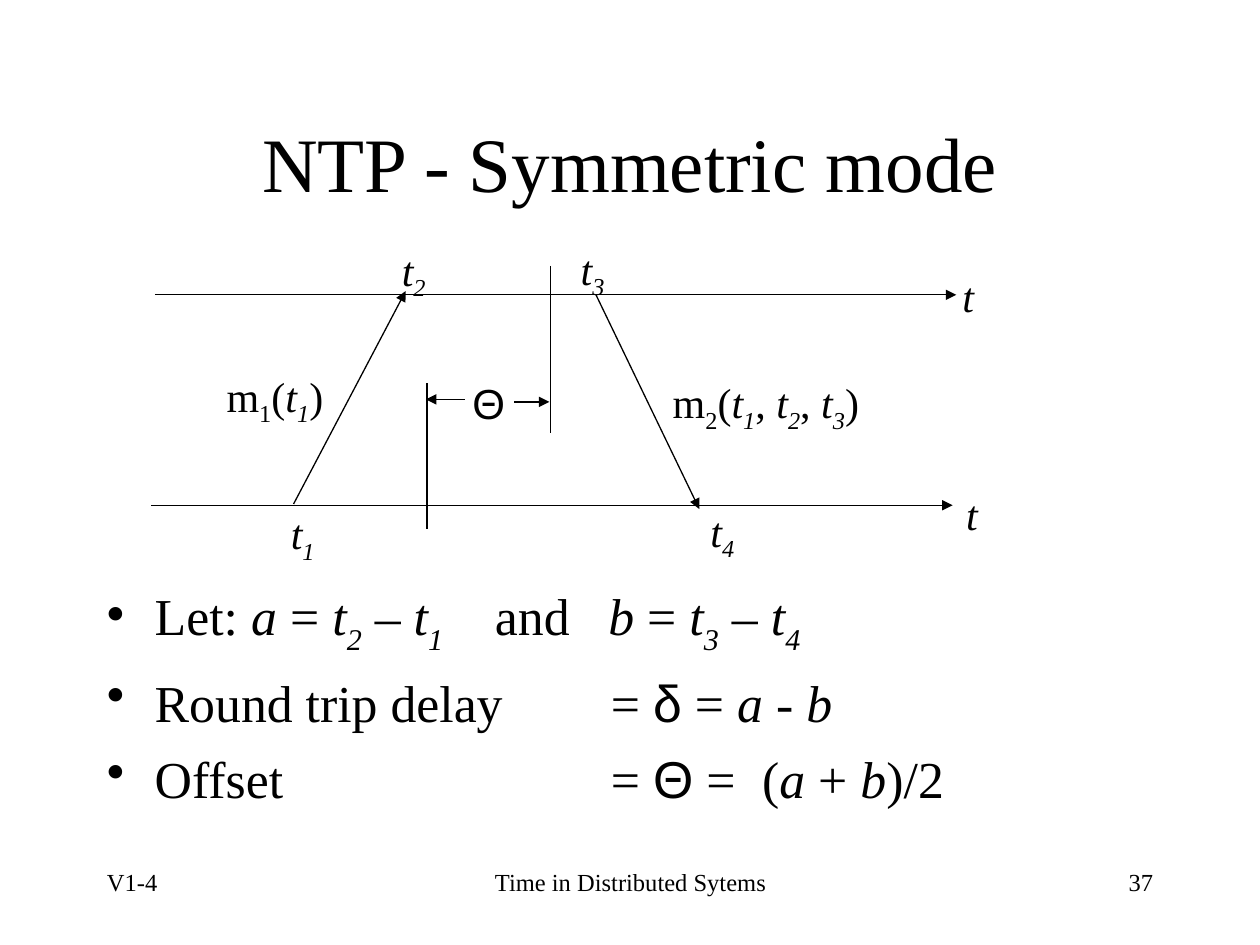
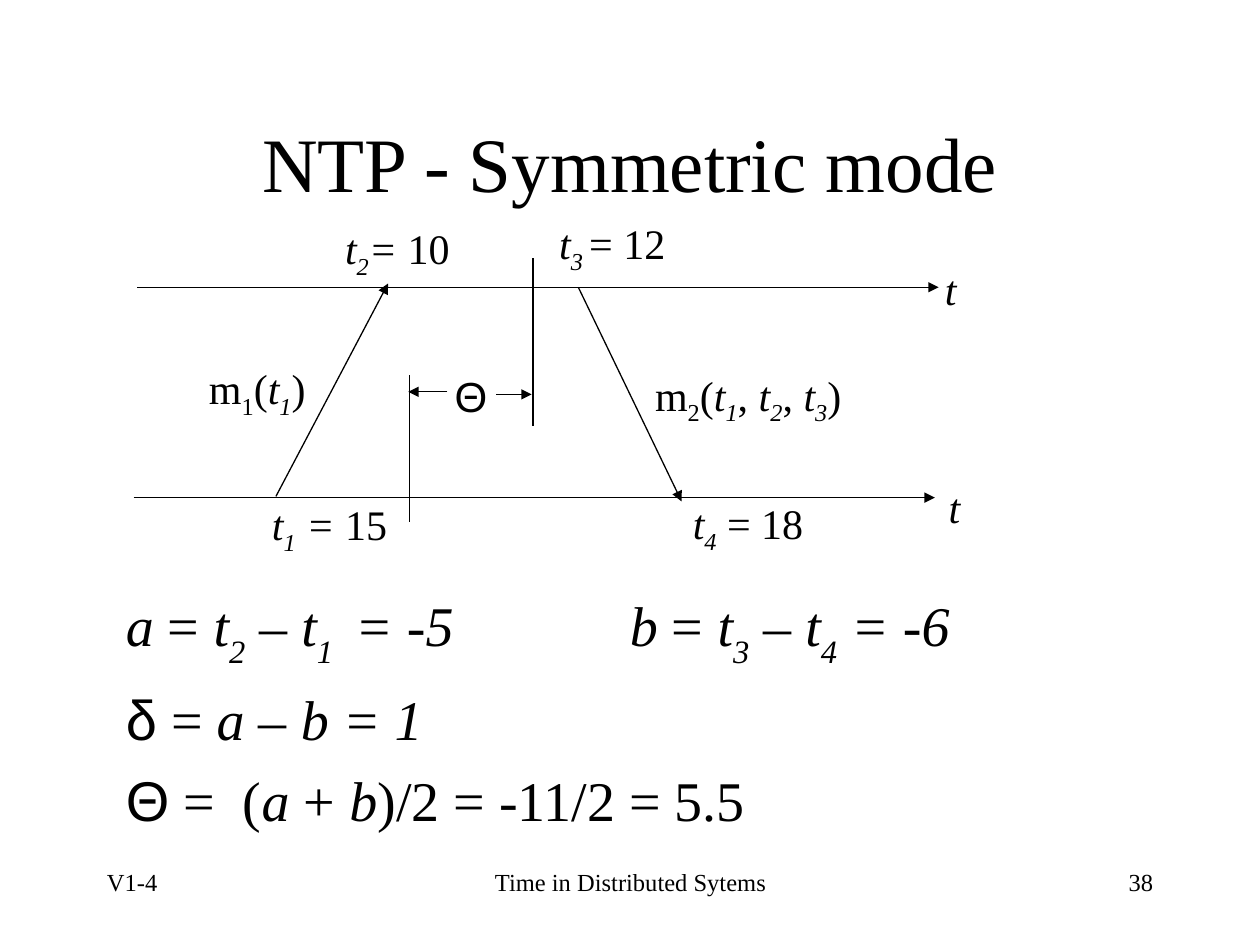
from itertools import groupby

from lxml import etree
from pptx import Presentation
from pptx.dml.color import RGBColor
from pptx.enum.shapes import MSO_CONNECTOR
from pptx.enum.text import MSO_ANCHOR, PP_ALIGN
from pptx.oxml.ns import qn
from pptx.util import Inches, Pt

STRAIGHT = MSO_CONNECTOR.STRAIGHT
LEFT, CENTER, RIGHT = PP_ALIGN.LEFT, PP_ALIGN.CENTER, PP_ALIGN.RIGHT
TOP, MIDDLE = MSO_ANCHOR.TOP, MSO_ANCHOR.MIDDLE

INK = "000000"
SERIF, GREEK_FONT = "Times New Roman", "Arial"
GREEK = "δΘ"
TITLE_SIZE, LABEL_SIZE, FOOTER_SIZE = 44, 24, 14
LABEL_DROP, BODY_DROP = -25, -30  # subscript offsets in percent
LABEL_SLACK = 0.1  # spare width that keeps a label on one line
BULLET_INDENT = 0.38

# Diagram lines: start x, start y, end x, end y, arrow at the end
DIAGRAM_LINES = [
    (1.23, 2.34, 7.59, 2.34, True),   # upper time axis
    (1.20, 4.01, 7.56, 4.01, True),   # lower time axis
    (2.33, 4.00, 3.22, 2.31, True),   # message 1
    (4.73, 2.34, 5.55, 4.04, True),   # message 2
    (4.37, 2.11, 4.37, 3.44, False),  # offset limits
    (3.39, 3.04, 3.39, 4.20, False),
    (4.08, 3.19, 4.36, 3.19, True),   # offset arrows
    (3.69, 3.17, 3.38, 3.17, True),
]
# Labels: text, left, top, width. In texts, * toggles italic and ~ subscript.
DIAGRAM_LABELS = [
    ("m~1~(*t~1~*)", 1.70, 2.89, 0.97),
    ("m~2~(*t~1~*, *t~2~*, *t~3~*)", 5.24, 2.94, 1.68),
    ("Θ", 3.65, 2.95, 0.44),
    ("*t", 7.54, 2.10, 0.29),
    ("*t", 7.57, 3.83, 0.29),
]


def color(hex_value):
    return RGBColor.from_string(hex_value)


def styled_pieces(text):
    """Split marked text into (piece, italic, subscript, font)."""
    italic = subscript = False
    letters = []
    for letter in text:
        if letter == "*":
            italic = not italic
        elif letter == "~":
            subscript = not subscript
        else:
            font = GREEK_FONT if letter in GREEK else SERIF
            letters.append((letter, italic, subscript, font))
    for style, group in groupby(letters, key=lambda item: item[1:]):
        yield "".join(item[0] for item in group), *style


def add_spans(para, text, size, drop=LABEL_DROP):
    for piece, italic, subscript, font in styled_pieces(text):
        span = para.add_run()
        span.text = piece
        span.font.name = font
        span.font.size = Pt(size)
        span.font.italic = italic
        span.font.color.rgb = color(INK)
        if subscript:
            span._r.get_or_add_rPr().set("baseline", str(drop * 1000))


def add_box(page, left, top, width, height, anchor=TOP):
    box = page.shapes.add_textbox(
        Inches(left), Inches(top), Inches(width), Inches(height))
    frame = box.text_frame
    frame.word_wrap = True
    frame.vertical_anchor = anchor
    return frame


def add_line_of_text(page, text, place, size, align=LEFT, anchor=TOP):
    para = add_box(page, *place, anchor).paragraphs[0]
    para.alignment = align
    add_spans(para, text, size)


def add_label(page, text, left, top, width):
    height = 0.56 if "~" in text else 0.5
    add_line_of_text(page, text, (left, top, width + LABEL_SLACK, height),
                     LABEL_SIZE)


def add_line(page, x1, y1, x2, y2, arrow):
    line = page.shapes.add_connector(
        STRAIGHT, Inches(x1), Inches(y1), Inches(x2), Inches(y2))
    line.line.color.rgb = color(INK)
    line.line.width = Pt(0.75)
    if arrow:
        etree.SubElement(line.line._get_or_add_ln(), qn("a:tailEnd"),
                         type="triangle")
    etree.SubElement(line._element.spPr, qn("a:effectLst"))


def set_bullet(para):
    props = para._p.get_or_add_pPr()
    indent = Inches(BULLET_INDENT)
    props.set("marL", str(indent))
    props.set("indent", str(-indent))
    etree.SubElement(props, qn("a:buChar"), char="•")


def set_tabs(para, stops):
    tabs = etree.SubElement(para._p.get_or_add_pPr(), qn("a:tabLst"))
    for stop in stops:
        etree.SubElement(tabs, qn("a:tab"), pos=str(Inches(stop)), algn="l")


def add_formulas(page, place, lines, size, bullets=False):
    frame = add_box(page, *place)
    for number, (text, stops) in enumerate(lines):
        para = frame.add_paragraph() if number else frame.paragraphs[0]
        if number:
            para.space_before = Pt(8)
        if bullets:
            set_bullet(para)
        if stops:
            set_tabs(para, stops)
        add_spans(para, text, size, BODY_DROP)


def add_diagram(page, time_labels, shift_x=0, shift_y=0):
    for x1, y1, x2, y2, arrow in DIAGRAM_LINES:
        add_line(page, x1 + shift_x, y1 + shift_y,
                 x2 + shift_x, y2 + shift_y, arrow)
    for text, left, top, width in DIAGRAM_LABELS:
        add_label(page, text, left + shift_x, top + shift_y, width)
    for label in time_labels:
        add_label(page, *label)


def add_page(deck, number):
    """Blank page with the shared title and footers."""
    page = deck.slides.add_slide(deck.slide_layouts[6])
    add_line_of_text(page, "NTP - Symmetric mode", (0.75, 0.66, 8.5, 1.25),
                     TITLE_SIZE, CENTER, MIDDLE)
    footers = [
        ("V1-4", 0.75, 2.08, LEFT),
        ("Time in Distributed Sytems", 3.42, 3.17, CENTER),
        (str(number), 7.17, 2.08, RIGHT),
    ]
    for text, left, width, align in footers:
        add_line_of_text(page, text, (left, 6.83, width, 0.5),
                         FOOTER_SIZE, align)
    return page


def main():
    deck = Presentation()
    deck.slide_width, deck.slide_height = Inches(10), Inches(7.5)

    # Definitions of delay and offset
    page = add_page(deck, 37)
    add_diagram(page, [
        ("*t~1", 2.21, 3.98, 0.39),
        ("*t~4", 5.54, 3.96, 0.39),
        ("*t~3", 4.51, 1.88, 0.39),
        ("*t~2", 3.09, 1.89, 0.39),
    ])
    add_formulas(page, (0.75, 4.58, 8.5, 2.09), [
        ("Let: *a* = *t~2~* – *t~1~*\tand\t*b* = *t~3~* – *t~4~*", (3.08, 3.98)),
        ("Round trip delay\t= δ = *a* - *b*", (4,)),
        ("Offset\t= Θ =\t(*a* + *b*)/2", (4, 5.2)),
    ], 29.6, bullets=True)

    # Worked example
    page = add_page(deck, 38)
    add_diagram(page, [
        ("*t~1~ = *15", 2.06, 3.91, 1.11),
        ("*t~4~* = 18", 5.40, 3.90, 1.07),
        ("*t~3 ~*= 12", 4.34, 1.68, 1.04),
        ("*t~2~= *10", 2.64, 1.72, 1.03),
    ], shift_x=-0.14, shift_y=-0.06)
    add_formulas(page, (0.9, 4.64, 7.99, 2.34), [
        ("*a* = *t~2~* – *t~1 ~ = -5\tb* = *t~3~* – *t~4~ = -6", (4,)),
        ("δ = *a* – *b = 1", ()),
        ("Θ =\t(*a* + *b*)/2 = -11/2 = 5.5", (0.93,)),
    ], 32)

    deck.save("out.pptx")


if __name__ == "__main__":
    main()
